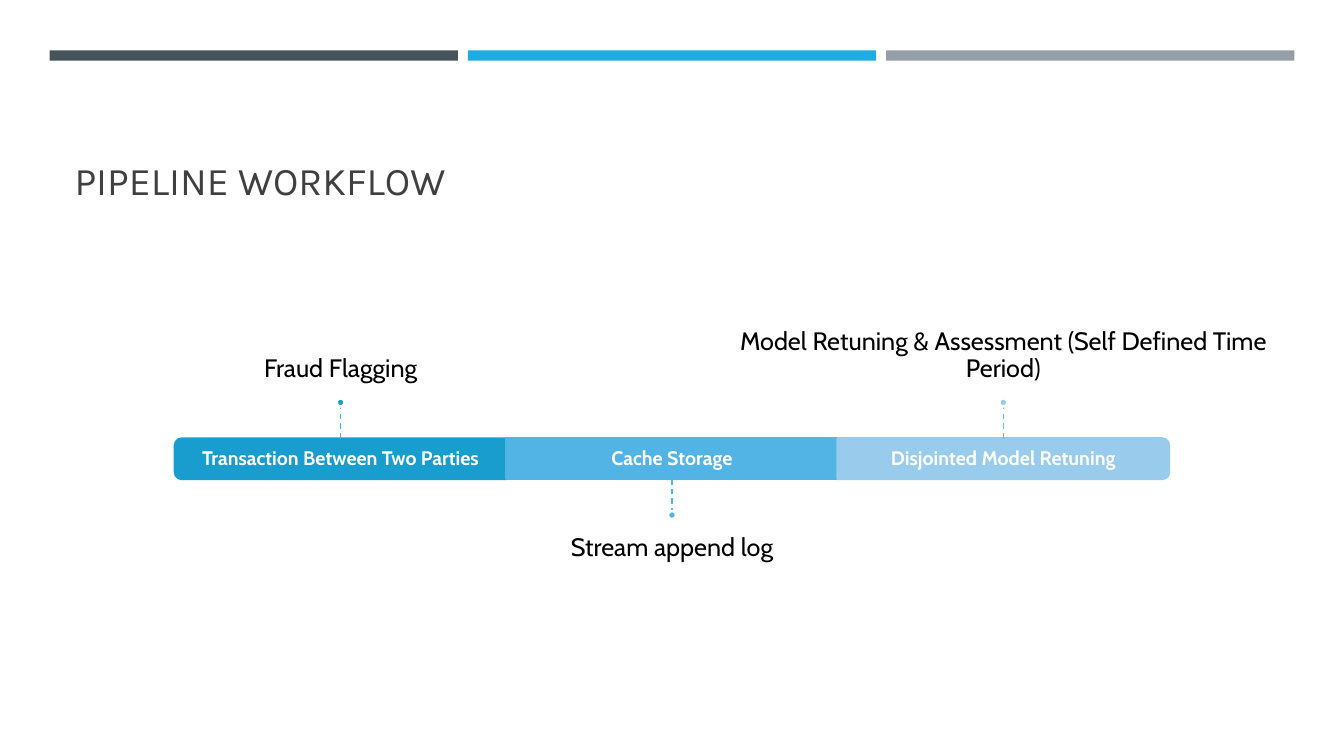
from lxml.etree import SubElement
from pptx import Presentation
from pptx.dml.color import RGBColor
from pptx.enum.dml import MSO_LINE_DASH_STYLE as Dash
from pptx.enum.shapes import MSO_CONNECTOR as Connector, MSO_SHAPE as Shape
from pptx.enum.text import MSO_ANCHOR as Anchor, MSO_AUTO_SIZE as AutoSize, PP_ALIGN as Align
from pptx.oxml.ns import qn
from pptx.util import Cm, Pt

HEADER_COLORS = ["465359", "1CADE4", "969FA7"]
HEADER_LEFT, HEADER_STEP, HEADER_WIDTH = 1.25, 10.54, 10.29
BAR_LEFT, BAR_TOP, BAR_HEIGHT = 4.41, 11.05, 1.02
STAGE_WIDTH = 8.35
NOTE_WIDTH, NOTE_HEIGHT, NOTE_GAP = 13.92, 3.53, 1.02
STEM, DOT = 0.81, 0.2
STAGES = [
    ("Transaction Between Two Parties", "Fraud Flagging", "199DCF", "36B3E9", 270),
    ("Cache Storage", "Stream append log", "52B3E5", "48B8EC", None),
    ("Disjointed Model Retuning", "Model Retuning & Assessment (Self Defined Time Period)",
     "99CBEC", "5ABEEF", 90),
]


def color(value):
    """Turn a hex string into a colour."""
    return RGBColor.from_string(value)


def write(box, text, size, font="Cabin", ink="000000", bold=False, align=Align.CENTER,
          anchor=Anchor.MIDDLE, insets=(0, 0, 0, 0), spacing=0.9):
    """Put one formatted paragraph into a shape."""
    frame = box.text_frame
    frame.word_wrap = True
    frame.auto_size = AutoSize.NONE
    frame.vertical_anchor = anchor
    frame.margin_left, frame.margin_top, frame.margin_right, frame.margin_bottom = map(Cm, insets)
    para = frame.paragraphs[0]
    para.alignment = align
    para.line_spacing = spacing
    span = para.add_run()
    span.text = text
    span.font.name = font
    span.font.size = Pt(size)
    span.font.bold = bold
    span.font.color.rgb = color(ink)


def add_block(page, kind, left, top, width, height, fill, line=None):
    """Add a filled shape with an optional outline."""
    block = page.shapes.add_shape(kind, Cm(left), Cm(top), Cm(width), Cm(height))
    block.shadow.inherit = False
    block.fill.solid()
    block.fill.fore_color.rgb = color(fill)
    if line:
        block.line.color.rgb = color(line)
        block.line.width = Pt(1.75)
    else:
        block.line.fill.background()
    return block


def add_label(page, text, left, top, width, height, **style):
    """Add a text box."""
    box = page.shapes.add_textbox(Cm(left), Cm(top), Cm(width), Cm(height))
    write(box, text, **style)


def add_stem(page, center, start, end, ink):
    """Add a dashed vertical line."""
    stem = page.shapes.add_connector(Connector.STRAIGHT, Cm(center), Cm(start), Cm(center), Cm(end))
    stem.line.color.rgb = color(ink)
    stem.line.width = Pt(1)
    stem.line.dash_style = Dash.DASH
    SubElement(stem._element.spPr, qn("a:effectLst"))


def add_segment(page, center, name, fill, turn):
    """Add one stage of the bar, rounded at its outer end if turned."""
    left = center - STAGE_WIDTH / 2
    if turn is None:
        add_block(page, Shape.RECTANGLE, left, BAR_TOP, STAGE_WIDTH, BAR_HEIGHT, fill, fill)
    else:
        top = BAR_TOP + (BAR_HEIGHT - STAGE_WIDTH) / 2
        end = add_block(page, Shape.ROUND_2_SAME_RECTANGLE, center - BAR_HEIGHT / 2, top,
                        BAR_HEIGHT, STAGE_WIDTH, fill, fill)
        end.rotation = turn
    add_label(page, name, left, BAR_TOP, STAGE_WIDTH, BAR_HEIGHT, size=14, ink="FFFFFF",
              bold=True, insets=(0.3, 0.3, 0.3, 0.3))


def add_note(page, center, text, fill, ink, above):
    """Add a note with its stem and dot above or below the bar."""
    left = center - NOTE_WIDTH / 2
    if above:
        edge, tip = BAR_TOP, BAR_TOP - STEM
        top, dot_top = BAR_TOP - NOTE_GAP - NOTE_HEIGHT, tip - DOT
        anchor, insets = Anchor.BOTTOM, (0, 0, 0, 0.38)
    else:
        edge, tip = BAR_TOP + BAR_HEIGHT, BAR_TOP + BAR_HEIGHT + STEM
        top, dot_top = edge + NOTE_GAP, tip
        anchor, insets = Anchor.TOP, (0, 0.38, 0, 0)
    add_label(page, text, left, top, NOTE_WIDTH, NOTE_HEIGHT, size=18, anchor=anchor, insets=insets)
    add_stem(page, center, edge, tip, ink)
    add_block(page, Shape.OVAL, center - DOT / 2, dot_top, DOT, DOT, fill, "FFFFFF")


def add_title(page, text):
    """Place and format the title."""
    title = page.shapes.title
    title.left, title.top, title.width, title.height = Cm(1.63), Cm(1.96), Cm(30.63), Cm(3.3)
    write(title, text, size=28, font="Karla", ink="404040", align=Align.LEFT,
          anchor=Anchor.BOTTOM, insets=(0.25, 0.13, 0.25, 0.13))


def main():
    """Build the slide and save it."""
    deck = Presentation()
    deck.slide_width, deck.slide_height = Cm(33.87), Cm(19.05)
    page = deck.slides.add_slide(deck.slide_layouts[5])
    for index, fill in enumerate(HEADER_COLORS):
        add_block(page, Shape.RECTANGLE, HEADER_LEFT + index * HEADER_STEP, 1.27,
                  HEADER_WIDTH, 0.26, fill)
    add_title(page, "PIPELINE WORKFLOW")
    for index, (name, note, fill, ink, turn) in enumerate(STAGES):
        center = BAR_LEFT + (index + 0.5) * STAGE_WIDTH
        add_segment(page, center, name, fill, turn)
        add_note(page, center, note, fill, ink, above=index % 2 == 0)
    deck.save("out.pptx")


main()
